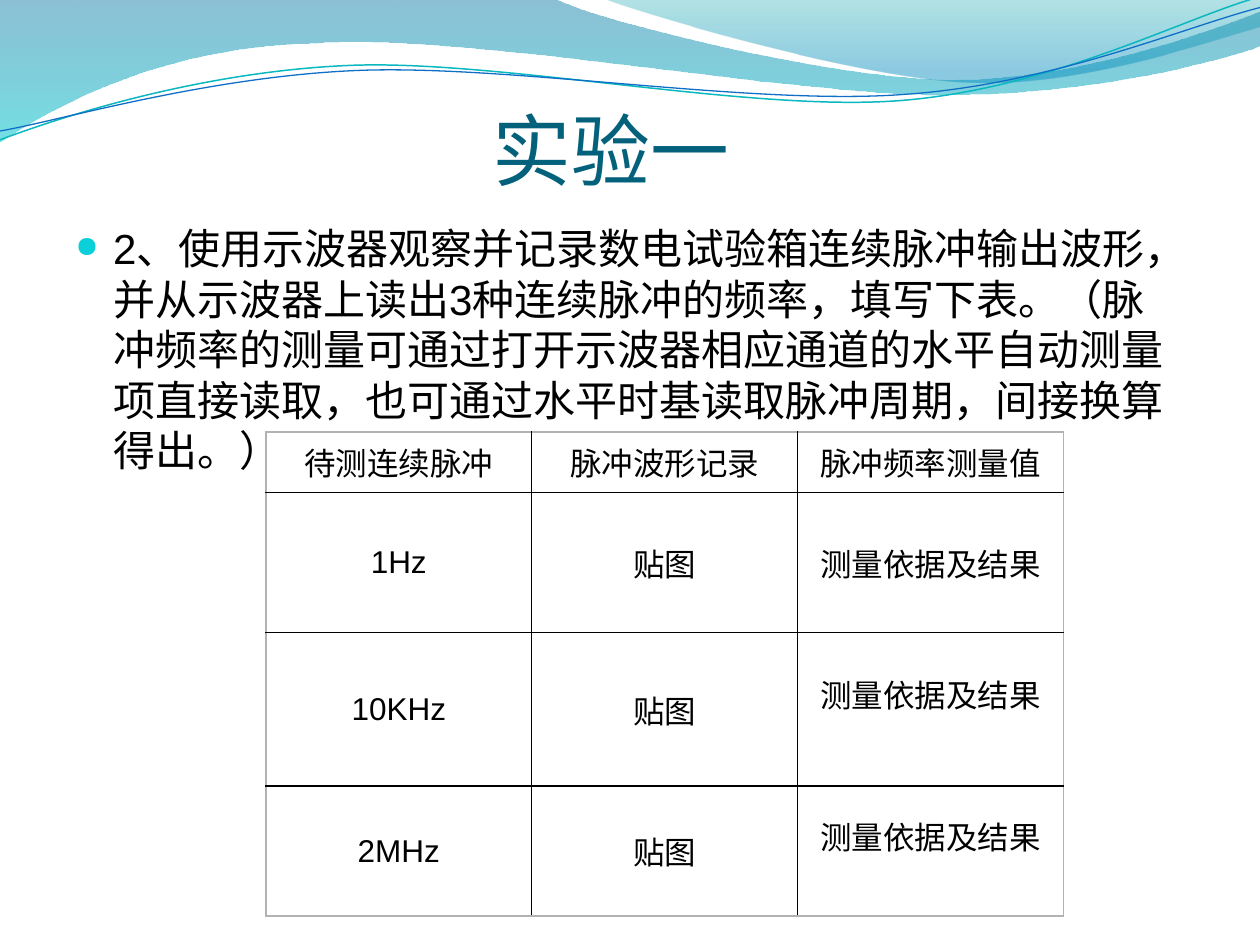
from lxml import etree
from pptx import Presentation
from pptx import util as u
from pptx.dml.color import RGBColor
from pptx.enum import text
from pptx.oxml import parse_xml
from pptx.oxml.ns import qn

NS = 'xmlns:a="http://schemas.openxmlformats.org/drawingml/2006/main"'
rgb = RGBColor.from_string

deck = Presentation()
deck.slide_width, deck.slide_height = u.Inches(10), u.Inches(7.5)
UNIT = deck.slide_width // 10  # the slide is a grid of 10 columns by 7.5 rows
page = deck.slides.add_slide(deck.slide_layouts[6])


def draw_wave(start, steps, closed):
    """Draw a freeform; a step of one point is a line, of three a Bezier curve."""
    points = [(int(x * UNIT), int(y * UNIT)) for step in steps for x, y in step]
    builder = page.shapes.build_freeform(int(start[0] * UNIT), int(start[1] * UNIT))
    builder.add_line_segments(points, close=closed)
    shape = builder.convert_to_shape()
    shape.shadow.inherit = False
    segments = iter(list(shape._element.iter(qn("a:lnTo"))))
    for step in steps:
        first, *others = [next(segments) for _ in step]
        if others:
            first.tag = qn("a:cubicBezTo")
            for other in others:
                first.append(other[0])
                other.getparent().remove(other)
    return shape


def add_run(para, words, size, font, color):
    span = para.add_run()
    span.text = words
    span.font.size, span.font.name = u.Pt(size), font
    span.font.color.rgb = rgb(color)


# Header bands: start, steps, gradient stops (position, colour, opacity in percent)
bands = [
    ((0, 0), [
        [(4.4, -0.01)],
        [(4.76, 0.17), (6.64, 0.63), (7.58, 0.63)],
        [(8.53, 0.63), (9.58, 0.26), (10, 0.09)],
        [(10.01, 0.36)],
        [(9.83, 0.44), (8.7, 0.76), (7.46, 0.75)],
        [(6.22, 0.75), (3.82, 0.28), (2.57, 0.34)],
        [(1.29, 0.36), (0.46, 0.83), (-0.01, 1.13)],
    ], [(0, "0074A1", 45), (100, "00C6CF", 55)]),
    ((4.79, -0.01), [
        [(5.09, 0.11), (6.82, 0.62), (7.69, 0.65)],
        [(8.56, 0.69), (9.61, 0.32), (10, 0.21)],
        [(10, 0)],
    ], [(0, "00A1A9", 30), (80, "008BBF", 45)]),
]
for start, steps, stops in bands:
    band = draw_wave(start, steps, True)
    band.line.fill.background()
    stop_xml = "".join(
        f'<a:gs pos="{pos * 1000}"><a:srgbClr val="{color}">'
        f'<a:alpha val="{alpha * 1000}"/></a:srgbClr></a:gs>'
        for pos, color, alpha in stops)
    band._element.spPr.find(qn("a:custGeom")).addnext(parse_xml(
        f'<a:gradFill {NS} rotWithShape="1"><a:gsLst>{stop_xml}</a:gsLst>'
        '<a:lin ang="5400000" scaled="0"/></a:gradFill>'))

# Header lines
strands = [
    ((0, 1.11), [
        [(0.48, 0.93), (1.58, 0.57), (2.77, 0.52)],
        [(3.95, 0.47), (5.93, 0.89), (7.13, 0.8)],
        [(8.33, 0.71), (9.38, 0.15), (9.98, -0.02)],
    ], "0AB8BF", 0.85),
    ((0, 1.04), [
        [(0.47, 0.96), (1.64, 0.61), (2.83, 0.56)],
        [(4.03, 0.51), (5.97, 0.84), (7.17, 0.75)],
        [(8.36, 0.67), (9.41, 0.21), (10, 0.06)],
    ], "0F6FC6", 0.75),
]
for start, steps, color, width in strands:
    strand = draw_wave(start, steps, False)
    strand.fill.background()
    strand.line.color.rgb = rgb(color)
    strand.line.width = u.Pt(width)

# Title
box = page.shapes.add_textbox(*(int(n * UNIT) for n in (3.91, 0.77, 2.73, 0.79)))
frame = box.text_frame
frame.word_wrap = True
frame.vertical_anchor = text.MSO_ANCHOR.BOTTOM
frame.margin_left = frame.margin_right = frame.margin_bottom = 0
add_run(frame.paragraphs[0], "实验一", 45, "Calibri", "04617B")

# Task description
box = page.shapes.add_textbox(*(int(n * UNIT) for n in (0.5, 1.72, 9, 5.2)))
frame = box.text_frame
frame.word_wrap = True
para = frame.paragraphs[0]
props = para._p.get_or_add_pPr()
props.set("marL", str(int(0.3 * UNIT)))
props.set("indent", str(int(-0.3 * UNIT)))
color = etree.SubElement(props, qn("a:buClr"))
etree.SubElement(color, qn("a:srgbClr"), val="0BD0D9")
etree.SubElement(props, qn("a:buSzPct"), val="70000")
etree.SubElement(props, qn("a:buChar"), char="●")
add_run(para, "2、使用示波器观察并记录数电试验箱连续脉冲输出波形，并从示波器上读出3种连续脉冲的"
        "频率，填写下表。（脉冲频率的测量可通过打开示波器相应通道的水平自动测量项直接读取，"
        "也可通过水平时基读取脉冲周期，间接换算得出。）", 24, "Arial", "000000")

# Measurement table
header = ["待测连续脉冲", "脉冲波形记录", "脉冲频率测量值"]
rows = [header] + [[rate, "贴图", "测量依据及结果"] for rate in ("1Hz", "10KHz", "2MHz")]
heights = [0.48, 1.11, 1.22, 1.03]
holder = page.shapes.add_table(len(rows), len(header), int(2.11 * UNIT), int(3.43 * UNIT),
                               int(6.33 * UNIT), int(sum(heights) * UNIT))
table = holder.table
table.first_row = table.horz_banding = False
for column in table.columns:
    column.width = int(2.11 * UNIT)
for r, (words, height) in enumerate(zip(rows, heights)):
    table.rows[r].height = int(height * UNIT)
    for c, word in enumerate(words):
        cell = table.cell(r, c)
        if r > 0:
            cell.vertical_anchor = text.MSO_ANCHOR.MIDDLE
        if r > 1 and c == 2:
            cell.margin_bottom = int(0.3 * UNIT)
        para = cell.text_frame.paragraphs[0]
        para.alignment = text.PP_ALIGN.CENTER
        font = "Arial" if r > 0 and c == 0 else "TeX Gyre Pagella"
        add_run(para, word, 18, font, "000000")
        outer = {"L": c == 0, "R": c == len(header) - 1, "T": r == 0, "B": r == len(rows) - 1}
        for side, is_outer in outer.items():
            shade = "B2B2B2" if is_outer else "000000"
            cell._tc.get_or_add_tcPr().append(parse_xml(
                f'<a:ln{side} {NS} w="12700"><a:solidFill><a:srgbClr val="{shade}"/>'
                f'</a:solidFill></a:ln{side}>'))
        cell.fill.background()

deck.save("out.pptx")
